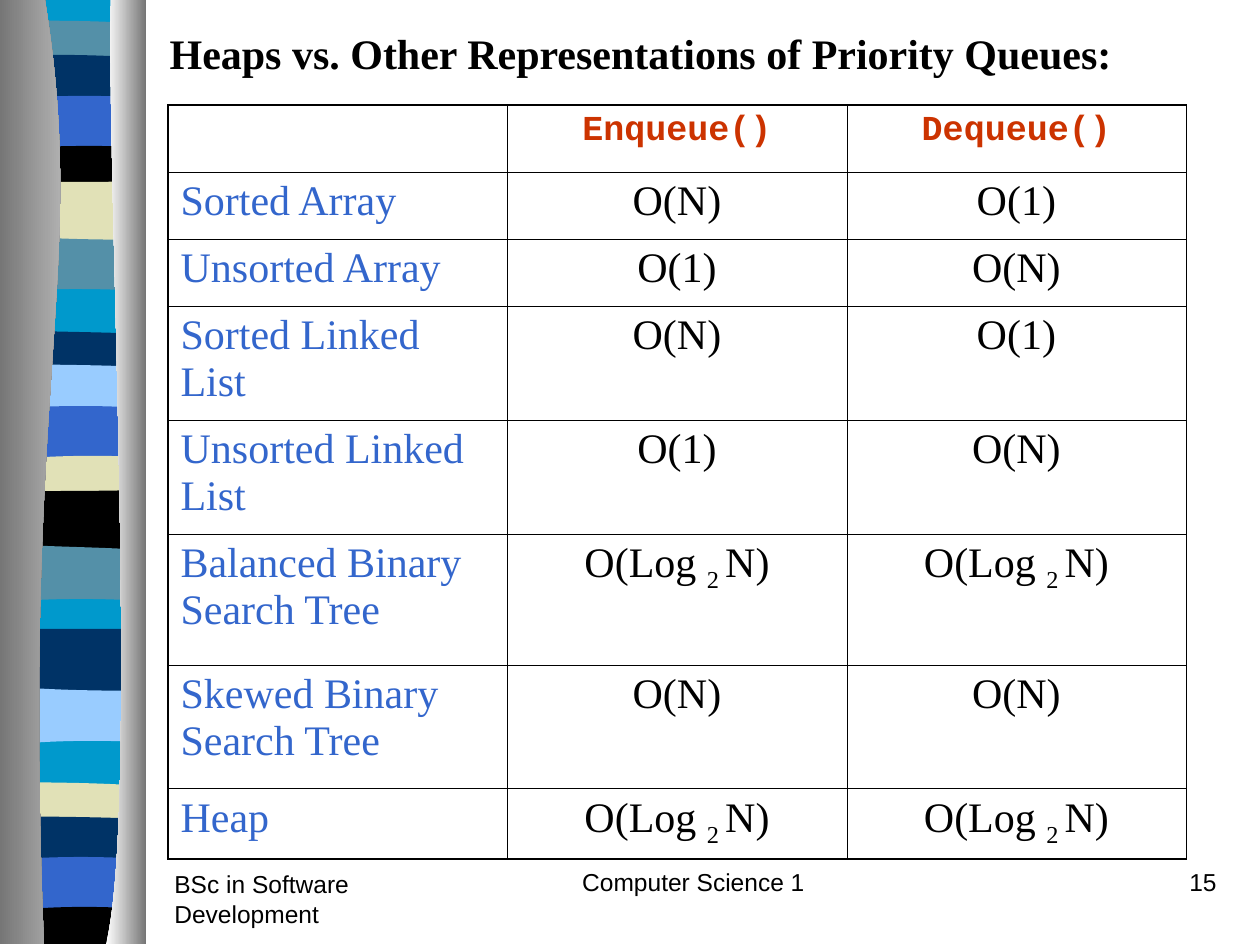
from dataclasses import dataclass

from lxml import etree
from pptx import Presentation
from pptx.dml.color import RGBColor
from pptx.enum.text import MSO_ANCHOR, MSO_AUTO_SIZE, PP_ALIGN
from pptx.oxml.ns import qn
from pptx.util import Pt

LEFT, MID, RIGHT = PP_ALIGN.LEFT, PP_ALIGN.CENTER, PP_ALIGN.RIGHT
TOP = MSO_ANCHOR.TOP
FIXED = MSO_AUTO_SIZE.NONE
SCALE = 914400 / 126


@dataclass(frozen=True)
class Theme:
    black: str = "000000"
    white: str = "FFFFFF"
    grey: str = "767676"
    pale: str = "CCCCCC"
    red: str = "CC3300"
    blue: str = "3366CC"
    cyan: str = "0099CC"
    steel: str = "5490A8"
    navy: str = "003366"
    cream: str = "E1E1B7"
    sky: str = "99CCFF"
    serif: str = "Times New Roman"
    sans: str = "Arial"
    mono: str = "Courier New"
    large: int = 24
    code: int = 20
    small: int = 14
    thick: float = 1.08
    thin: float = 0.45


T = Theme()

BANDS = [
    (T.steel, 21, 21, 24), (T.navy, 55, 55, 58),
    (T.blue, 98, 96, 97), (T.black, 149, 146, 147), (T.cream, 181, 182, 181),
    (T.steel, 235, 239, 240), (T.cyan, 291, 289, 291), (T.navy, 330, 332, 334),
    (T.sky, 364, 365, 367), (T.blue, 409, 406, 408), (T.cream, 460, 456, 457),
    (T.black, 491, 491, 490), (T.steel, 544, 547, 550), (T.cyan, 602, 599, 601),
    (T.navy, 629, 629, 629), (T.sky, 686, 690, 691), (T.cyan, 745, 741, 742),
    (T.cream, 782, 783, 786), (T.navy, 816, 817, 819), (T.blue, 860, 857, 859),
    (T.black, 911, 907, 909),
]

LINEAR, ONE, LOG = ("O(N)",), ("O(1)",), ("O(Log ", "2 ", "N)")
COSTS = [
    ("Sorted Array", LINEAR, ONE),
    ("Unsorted Array", ONE, LINEAR),
    ("Sorted Linked List", LINEAR, ONE),
    ("Unsorted Linked List", ONE, LINEAR),
    ("Balanced Binary Search Tree", LOG, LOG),
    ("Skewed Binary Search Tree", LINEAR, LINEAR),
    ("Heap", LOG, LOG),
]
COLS = (339, 340, 339)
ROWS = (67, 67, 67, 114, 114, 131, 124, 70)


def px(n):
    return round(n * SCALE)


def rgb(code):
    return RGBColor.from_string(code)


def write(frame, parts, face, size, tint=T.black, align=LEFT, bold=False):
    para = frame.paragraphs[0]
    para.alignment = align
    para.space_before = Pt(0)
    for i, part in enumerate(parts):
        run = para.add_run()
        run.text = part
        font = run.font
        font.name, font.size, font.bold = face, Pt(size), bold
        font.color.rgb = rgb(tint)
        if i == 1:
            run._r.get_or_add_rPr().set("baseline", "-25000")


def outline(group, box, points, bends=()):
    spots = [(px(box[0] + x), px(box[1] + y)) for x, y in points]
    pen = group.shapes.build_freeform(*spots[0], scale=1.0)
    pen.add_line_segments(spots[1:], close=True)
    shape = pen.convert_to_shape()
    lines = list(shape._element.iter(qn("a:lnTo")))
    for start in bends:
        trio = lines[start:start + 3]
        arc = etree.Element(qn("a:cubicBezTo"))
        trio[0].addprevious(arc)
        for line in trio:
            arc.append(line[0])
            line.getparent().remove(line)
    shape.shadow.inherit = False
    shape.line.fill.background()
    return shape


def paint(shape, tint):
    shape.fill.solid()
    shape.fill.fore_color.rgb = rgb(tint)


def wave(left, mid, right):
    pull = (8 * mid - left - right) / 6
    return [(7, left), (53, pull), (98, pull), (144, right)]


def tube(group, box, points, tones):
    fill = outline(group, box, points, [0]).fill
    fill.gradient()
    fill.gradient_angle = 0
    for stop, spot, tone in zip(fill.gradient_stops, (0, 1), tones):
        stop.position = spot
        stop.color.rgb = rgb(tone)


def ribbon(slide, box):
    wide, high = box[2:]
    group = slide.shapes.add_group_shape()
    paint(outline(group, box, [(7, 0), (144, 0), (144, high), (7, high)]), T.cyan)
    floor = (T.black, high, high, high)
    for (tint, *edge), (below, *end) in zip(BANDS, BANDS[1:] + [floor]):
        if tint == T.cyan:
            continue
        if below == T.cyan:
            points, bends = wave(*edge) + wave(*end)[::-1], [0, 4]
        else:
            low = max(end)
            points, bends = wave(*edge) + [(144, low), (7, low)], [0]
        paint(outline(group, box, points, bends), tint)
    tube(group, box,
         [(45, 0), (89, 272), (21, 373), (44, high), (0, high), (0, 0)],
         (T.grey, T.pale))
    tube(group, box,
         [(111, 0), (106, 158), (140, 814), (106, high), (wide, high), (wide, 0)],
         (T.white, T.grey))


def heading(slide, box):
    title = slide.shapes.title
    title.left, title.top, title.width, title.height = map(px, box)
    frame = title.text_frame
    frame.word_wrap = True
    frame.auto_size = FIXED
    frame.vertical_anchor = TOP
    write(frame, ["Heaps vs. Other Representations of Priority Queues:"],
          T.serif, T.large, bold=True)


def border(cell, sides):
    props = cell._tc.get_or_add_tcPr()
    for side, outer in zip("LRTB", sides):
        line = etree.SubElement(props, qn(f"a:ln{side}"))
        line.set("w", str(Pt(T.thick if outer else T.thin)))
        fill = etree.SubElement(line, qn("a:solidFill"))
        etree.SubElement(fill, qn("a:srgbClr")).set("val", T.black)
    cell.fill.background()


def grid(slide, box):
    table = slide.shapes.add_table(len(ROWS), len(COLS), *map(px, box)).table
    table.first_row = table.horz_banding = False
    for col, wide in zip(table.columns, COLS):
        col.width = px(wide)
    for row, high in zip(table.rows, ROWS):
        row.height = px(high)
    for r in range(len(ROWS)):
        for c in range(len(COLS)):
            border(table.cell(r, c), (c == 0, False, r == 0, r == len(ROWS) - 1))
    for c, name in enumerate(("Enqueue()", "Dequeue()"), 1):
        write(table.cell(0, c).text_frame, [name], T.mono, T.code, T.red, MID, True)
    for r, (name, *costs) in enumerate(COSTS, 1):
        write(table.cell(r, 0).text_frame, [name], T.serif, T.large, T.blue)
        for c, cost in enumerate(costs, 1):
            write(table.cell(r, c).text_frame, cost, T.serif, T.large, align=MID)


def footer(slide, box):
    x, y, _, high = box
    for text, left, drop, wide, align in (
        ("BSc in Software Development", 0, 2, 262, LEFT),
        ("Computer Science 1", 332, 0, 399, MID),
        ("15", 805, 0, 262, RIGHT),
    ):
        area = map(px, (x + left, y + drop, wide, high))
        frame = slide.shapes.add_textbox(*area).text_frame
        frame.word_wrap = True
        write(frame, [text], T.sans, T.small, align=align)


def main():
    deck = Presentation()
    deck.slide_width, deck.slide_height = px(1260), px(945)
    slide = deck.slides.add_slide(deck.slide_layouts[5])
    ribbon(slide, (0, 0, 146, 944))
    heading(slide, (157, 21, 1008, 63))
    grid(slide, (168, 105, sum(COLS), sum(ROWS)))
    footer(slide, (162, 861, 1067, 63))
    deck.save("out.pptx")


if __name__ == "__main__":
    main()
